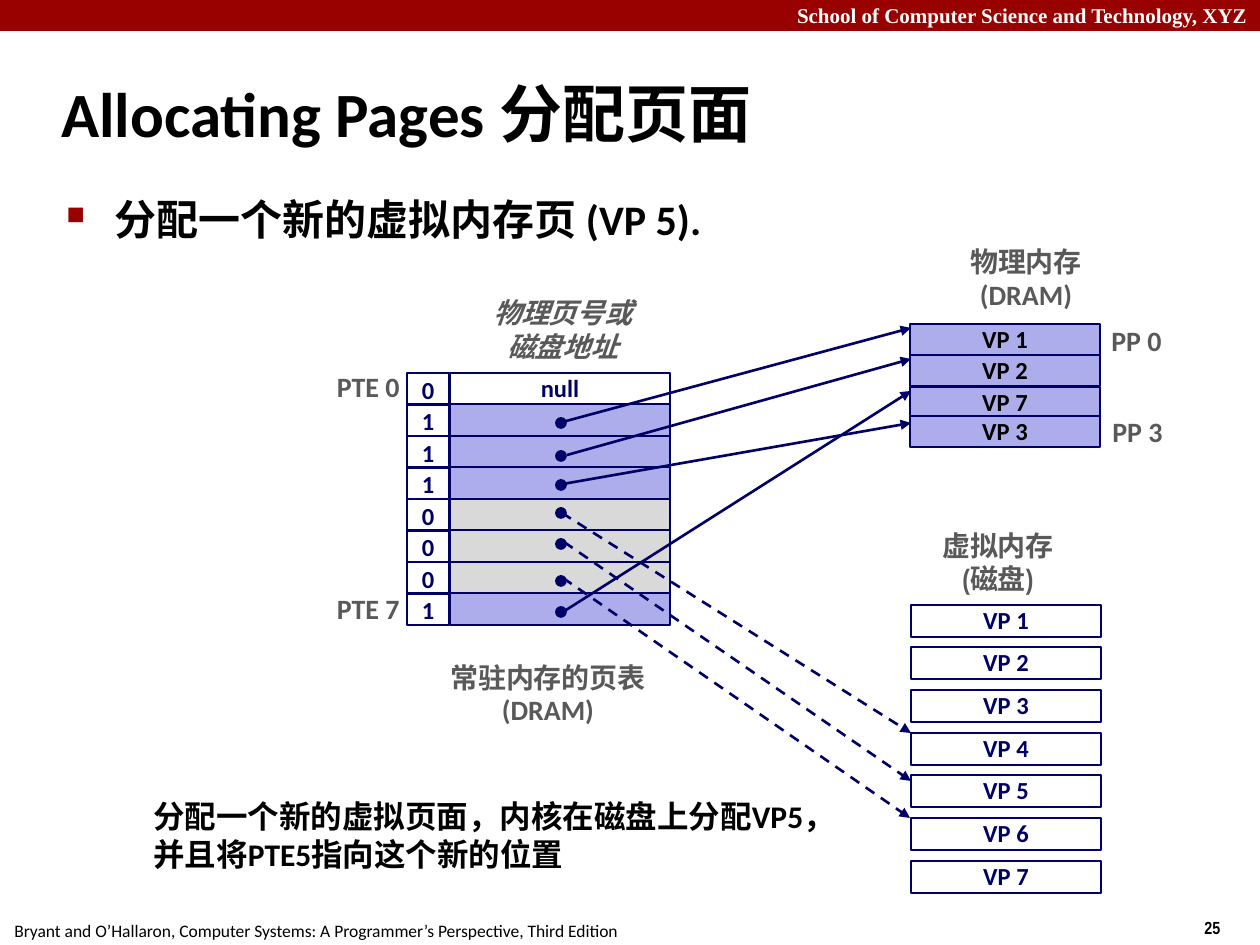
"""Build the slide on allocating a new virtual page (VP 5)."""
from lxml.etree import SubElement
from pptx import Presentation
from pptx.dml.color import RGBColor
from pptx.enum.dml import MSO_LINE
from pptx.enum.shapes import MSO_CONNECTOR, MSO_SHAPE
from pptx.enum.text import MSO_ANCHOR, PP_ALIGN
from pptx.oxml.ns import qn
from pptx.util import Inches, Pt

PX = 7257
COLORS = {
    "banner": "990000", "navy": "000066", "cached": "ADADEB", "on_disk": "D9D9D9",
    "label": "595959", "black": "000000", "white": "FFFFFF",
}
LEFT, CENTER, RIGHT = PP_ALIGN.LEFT, PP_ALIGN.CENTER, PP_ALIGN.RIGHT
TOP, MIDDLE = MSO_ANCHOR.TOP, MSO_ANCHOR.MIDDLE


def draw(preset, x, y, w, h, fill=None, outline=None, weight=1.5):
    shape = slide.shapes.add_shape(preset, x * PX, y * PX, w * PX, h * PX)
    shape.shadow.inherit = False
    if fill:
        shape.fill.solid()
        shape.fill.fore_color.rgb = RGBColor.from_string(COLORS[fill])
    else:
        shape.fill.background()
    if outline:
        shape.line.color.rgb = RGBColor.from_string(COLORS[outline])
        shape.line.width = Pt(weight)
    else:
        shape.line.fill.background()
    return shape


def write(shape, text, size, color, align=CENTER, anchor=MIDDLE, wrap=False,
          font="Calibri", bold=True, italic=False, spacing=None):
    frame = shape.text_frame
    frame.text = text
    frame.word_wrap = wrap
    frame.vertical_anchor = anchor
    for paragraph in frame.paragraphs:
        paragraph.alignment = align
        paragraph.line_spacing = spacing
        paragraph.font.name = font
        paragraph.font.size = Pt(size)
        paragraph.font.bold = bold
        paragraph.font.italic = italic
        paragraph.font.color.rgb = RGBColor.from_string(COLORS[color])
    return frame


deck = Presentation()
deck.slide_width, deck.slide_height = Inches(10), Inches(7.5)
slide = deck.slides.add_slide(deck.slide_layouts[6])

draw(MSO_SHAPE.RECTANGLE, 0, 0, 1260, 31, "banner")

running_texts = [
    ((0, -4, 1260, 38), "School of Computer Science and Technology, XYZ",
     dict(size=12, color="white", align=RIGHT, anchor=TOP, wrap=True, font="Times New Roman")),
    ((2, 914, 631, 34),
     "Bryant and O’Hallaron, Computer Systems: A Programmer’s Perspective, Third Edition",
     dict(size=10, color="black", align=LEFT, anchor=TOP, bold=False)),
    ((1192, 911, 94, 34), "25",
     dict(size=10, color="black", align=LEFT, anchor=TOP, font="Arial Narrow")),
    ((49, 60, 1046, 105), "Allocating Pages 分配页面",
     dict(size=36, color="black", align=LEFT, wrap=True)),
    ((141, 791, 727, 88), "分配一个新的虚拟页面，内核在磁盘上分配VP5，并且将PTE5指向这个新的位置",
     dict(size=18, color="black", align=LEFT, anchor=TOP, wrap=True)),
]
for (x, y, w, h), text, style in running_texts:
    area = slide.shapes.add_textbox(x * PX, y * PX, w * PX, h * PX)
    write(area, text, **style)

topic = slide.shapes.add_textbox(54 * PX, 187 * PX, 1089 * PX, 685 * PX)
topic_line = write(topic, "分配一个新的虚拟内存页 (VP 5).", 24, "black",
                   align=LEFT, anchor=TOP, wrap=True).paragraphs[0]
topic_line.space_before = Pt(6)
bullet = topic_line._p.get_or_add_pPr()
bullet.set("marL", str(48 * PX))
bullet.set("indent", str(-48 * PX))
bullet_color = SubElement(bullet, qn("a:buClr"))
SubElement(bullet_color, qn("a:srgbClr"), val=COLORS["banner"])
SubElement(bullet, qn("a:buSzPct"), val="60000")
SubElement(bullet, qn("a:buChar"), char="■")
bullet.append(bullet.find(qn("a:defRPr")))

page_table = [("0", "white")] + [("1", "cached")] * 3 + [("0", "on_disk")] * 3 + [("1", "cached")]
for row, (valid_bit, state) in enumerate(page_table):
    y = 373 + row * 63 // 2
    valid = draw(MSO_SHAPE.RECTANGLE, 407, y, 42, 32, None, "navy")
    write(valid, valid_bit, 14, "navy", spacing=0.98)
    valid.text_frame.margin_top = 9 * PX
    address = draw(MSO_SHAPE.RECTANGLE, 450, y, 220, 32, state, "navy")
    if row == 0:
        write(address, "null", 14, "navy", spacing=0.98)

for page, y in [(7, 387), (3, 416), (2, 355), (1, 324)]:
    frame_slot = draw(MSO_SHAPE.RECTANGLE, 910, y, 190, 31, "cached", "navy")
    write(frame_slot, f"VP {page}", 14, "black", spacing=0.98)

for page in range(1, 8):
    disk_page = draw(MSO_SHAPE.RECTANGLE, 911, 605 + (page - 1) * 128 // 3, 190, 32, "white", "navy")
    write(disk_page, f"VP {page}", 14, "navy", spacing=0.98)

pointers = [
    (418, (559, 423), (911, 328), False),
    (451, (567, 455), (911, 359), False),
    (480, (563, 484), (911, 423), False),
    (508, (562, 513), (911, 733), True),
    (539, (564, 542), (911, 781), True),
    (576, (563, 578), (910, 818), True),
    (607, (563, 612), (911, 391), False),
]
for dot_top, (start_x, start_y), (end_x, end_y), dashed in pointers:
    pointer = slide.shapes.add_connector(
        MSO_CONNECTOR.STRAIGHT, start_x * PX, start_y * PX, end_x * PX, end_y * PX)
    pointer.line.color.rgb = RGBColor.from_string(COLORS["navy"])
    pointer.line.width = Pt(1.5)
    if dashed:
        pointer.line.dash_style = MSO_LINE.DASH
    SubElement(pointer.line._get_or_add_ln(), qn("a:tailEnd"), type="triangle")
    SubElement(pointer._element.spPr, qn("a:effectLst"))
    draw(MSO_SHAPE.OVAL, 556, dot_top, 10, 10, "navy", "navy", 1)

entry_labels = [
    (324, 365, 88, "PTE 0", RIGHT), (324, 587, 88, "PTE 7", RIGHT),
    (1099, 319, 75, "PP 0", CENTER), (1100, 410, 75, "PP 3", CENTER),
]
for x, y, w, text, align in entry_labels:
    entry_label = slide.shapes.add_textbox(x * PX, y * PX, w * PX, 45 * PX)
    write(entry_label, text, 16, "label", align=align, spacing=0.98)

captions = [
    (476, 289, 174, 81, "物理页号或\n磁盘地址", MIDDLE, True, None),
    (954, 240, 144, 78, "物理内存\n(DRAM)", TOP, False, 0.98),
    (434, 654, 228, 79, "常驻内存的页表\n(DRAM)", TOP, False, None),
    (926, 522, 144, 81, "虚拟内存\n(磁盘)", TOP, False, None),
]
for x, y, w, h, text, anchor, italic, spacing in captions:
    caption = slide.shapes.add_textbox(x * PX, y * PX, w * PX, h * PX)
    caption_frame = write(caption, text, 16, "label", anchor=anchor, font="Arial Narrow",
                          italic=italic, spacing=spacing)
    if text.endswith("(DRAM)"):
        caption_frame.paragraphs[1].font.name = "Calibri"
        caption_frame.paragraphs[1].line_spacing = 0.98

deck.save("out.pptx")
